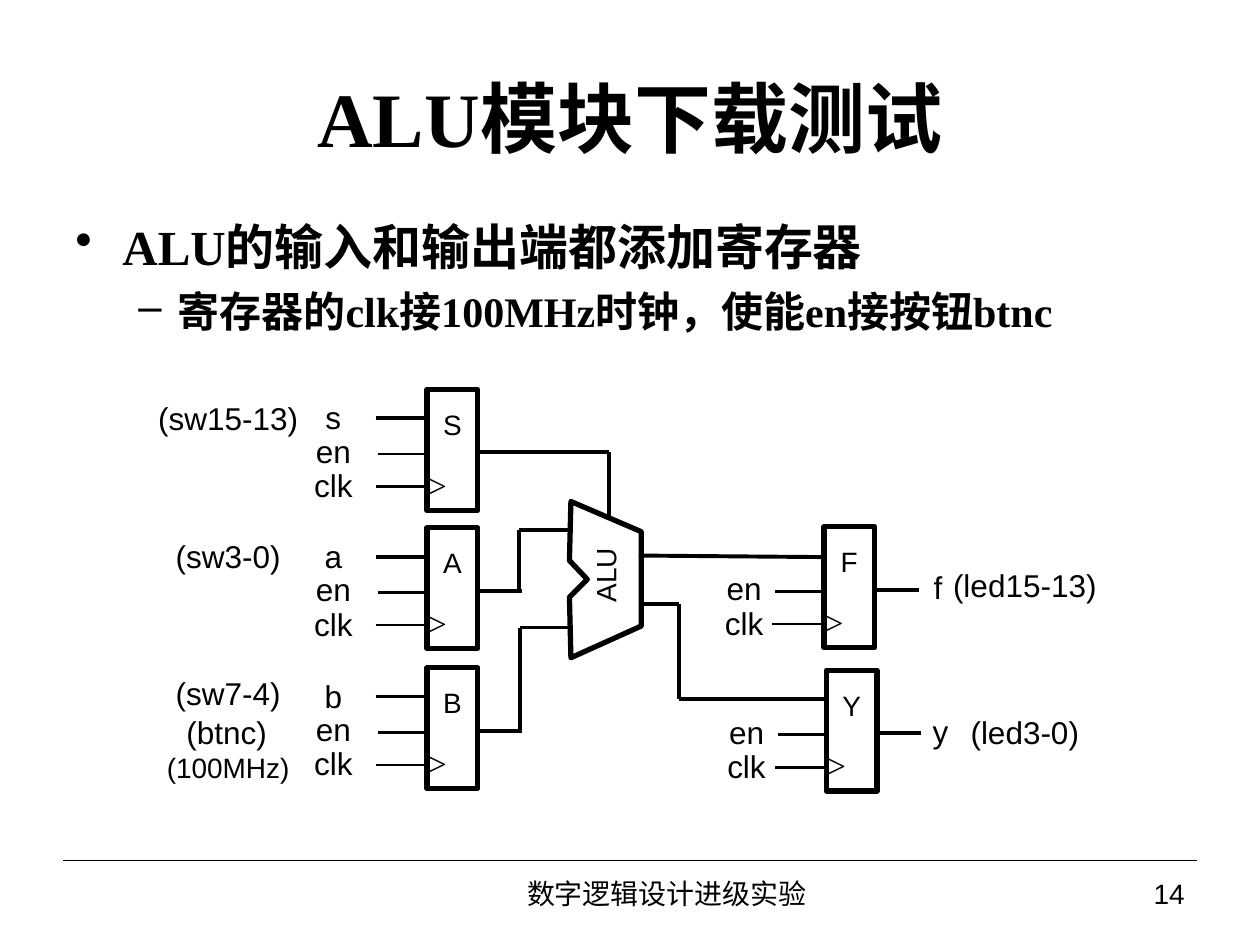
from pptx import Presentation
from pptx.dml.color import RGBColor
from pptx.enum.shapes import MSO_CONNECTOR, MSO_SHAPE
from pptx.enum.text import MSO_ANCHOR, PP_ALIGN
from pptx.oxml.ns import qn
from pptx.util import Cm, Pt
from lxml import etree

BLACK = RGBColor(0x00, 0x00, 0x00)
SANS, SERIF = "Arial", "Times New Roman"
LEFT, CENTER, RIGHT = PP_ALIGN.LEFT, PP_ALIGN.CENTER, PP_ALIGN.RIGHT
TOP, MIDDLE = MSO_ANCHOR.TOP, MSO_ANCHOR.MIDDLE
RECTANGLE, STRAIGHT = MSO_SHAPE.RECTANGLE, MSO_CONNECTOR.STRAIGHT

REGISTER_WIDTH, REGISTER_HEIGHT = 1.02, 2.44
THIN, WIRE, OUTLINE = 1.5, 2.25, 3


class CircuitSlide:
    """Draws on one slide; all lengths are centimetres."""

    def __init__(self, slide):
        self.slide = slide

    def outline(self, shape):
        shape.shadow.inherit = False
        shape.fill.background()
        shape.line.color.rgb = BLACK
        shape.line.width = Pt(OUTLINE)

    def line(self, start, end, weight=WIRE):
        connector = self.slide.shapes.add_connector(
            STRAIGHT, *[Cm(value) for value in (*start, *end)])
        connector.line.color.rgb = BLACK
        connector.line.width = Pt(weight)
        properties = connector._element.spPr
        etree.SubElement(properties, qn("a:effectLst"))

    def wire(self, *points):
        for start, end in zip(points, points[1:]):
            self.line(start, end)

    def polygon(self, points):
        corners = [(Cm(x), Cm(y)) for x, y in points]
        builder = self.slide.shapes.build_freeform(*corners[0])
        builder.add_line_segments(corners[1:], close=True)
        self.outline(builder.convert_to_shape())

    def run(self, paragraph, text, size, font, bold=False):
        run = paragraph.add_run()
        run.text = text
        run.font.size = Pt(size)
        run.font.name = font
        run.font.bold = bold
        run.font.color.rgb = BLACK

    def frame(self, left, top, width, height, anchor=MIDDLE):
        box = self.slide.shapes.add_textbox(Cm(left), Cm(top), Cm(width), Cm(height))
        box.text_frame.word_wrap = True
        box.text_frame.vertical_anchor = anchor
        return box.text_frame

    def text(self, bounds, text, size, font, align, bold=False):
        paragraph = self.frame(*bounds).paragraphs[0]
        paragraph.alignment = align
        self.run(paragraph, text, size, font, bold)

    def label(self, x, y, text, size=18, font=SANS, width=1.04, height=0.86, vertical=None):
        """Unwrapped text centred on a point."""
        frame = self.frame(x - width / 2, y - height / 2, width, height)
        frame.word_wrap = False
        frame.margin_left = frame.margin_right = 0
        frame.margin_top = frame.margin_bottom = 0
        if vertical:
            frame._txBody.bodyPr.set("vert", vertical)
        frame.paragraphs[0].alignment = CENTER
        self.run(frame.paragraphs[0], text, size, font)

    def bullets(self, bounds, items):
        frame = self.frame(*bounds, anchor=TOP)
        for index, (text, size, level, mark, margin, hanging) in enumerate(items):
            paragraph = frame.add_paragraph() if index else frame.paragraphs[0]
            paragraph.level = level
            paragraph.alignment = LEFT
            paragraph.space_after = Pt(6)
            properties = paragraph._p.get_or_add_pPr()
            properties.set("marL", str(Cm(margin)))
            properties.set("indent", str(-Cm(hanging)))
            etree.SubElement(properties, qn("a:buChar")).set("char", mark)
            self.run(paragraph, text, size, SERIF, bold=True)

    def register(self, left, top, name, label_gap, data=None, output=None):
        box = self.slide.shapes.add_shape(
            RECTANGLE, Cm(left), Cm(top), Cm(REGISTER_WIDTH), Cm(REGISTER_HEIGHT))
        self.outline(box)
        self.label(left + 0.51, top + 0.7, name, 16, width=0.4, height=0.69)
        self.label(left + 0.2, top + 1.91, ">", 20, SERIF, width=0.41)
        # Input pins: label, label height, line height, line length, weight
        pins = [("en", 1.24, 1.3, 0.98, THIN), ("clk", 1.93, 1.96, 1.04, THIN)]
        if data:
            pins.append((data, 0.56, 0.58, 1.04, WIRE))
        for pin, label_y, line_y, length, weight in pins:
            self.label(left - label_gap, top + label_y, pin)
            self.line((left - length, top + line_y), (left, top + line_y), weight)
        # Output pin
        right, output_y = left + REGISTER_WIDTH, top + 1.27
        self.line((right, output_y), (right + 0.89, output_y))
        if output:
            self.label(left + 2.3, top + 1.22, output)


presentation = Presentation()
presentation.slide_width = Cm(25.4)
presentation.slide_height = Cm(19.05)
page = CircuitSlide(presentation.slides.add_slide(presentation.slide_layouts[6]))

# Title and bullets
page.text((1.27, 0.76, 22.86, 3.18), "ALU模块下载测试", 44, SERIF, CENTER, bold=True)
page.bullets((1.27, 4.24, 22.86, 2.92), [
    ("ALU的输入和输出端都添加寄存器", 28, 0, "•", 0.95, 0.95),
    ("寄存器的clk接100MHz时钟，使能en接按钮btnc", 24, 1, "–", 2.06, 0.79),
])

# Input and output registers
for top, name in ((7.85, "S"), (10.64, "A"), (13.46, "B")):
    page.register(8.61, top, name, 1.89, data=name.lower())
for left, top, name in ((16.61, 10.62, "F"), (16.66, 13.51, "Y")):
    page.register(left, top, name, 1.61, output=name.lower())

# ALU
page.polygon([(11.51, 10.11), (12.93, 10.72), (12.93, 12.62), (11.51, 13.26),
              (11.48, 12.04), (11.84, 11.68), (11.48, 11.3)])
page.label(12.2, 11.6, "ALU", 16, width=0.69, height=1.1, vertical="vert270")

# Wires between the registers and the ALU
page.wire((10.01, 9.12), (12.27, 9.12), (12.27, 10.44))
page.wire((10.46, 11.91), (10.46, 10.69), (11.48, 10.69))
page.wire((10.49, 14.73), (10.49, 12.65), (11.48, 12.65))
page.wire((12.88, 11.2), (16.56, 11.23))
page.wire((12.88, 12.17), (13.69, 12.17), (13.69, 14.1), (16.66, 14.1))

# Board pins
for x, y, pin, size, width in (
    (4.6, 8.43, "(sw15-13)", 18, 2.84),
    (4.6, 11.2, "(sw3-0)", 18, 2.13),
    (4.6, 13.97, "(sw7-4)", 18, 2.13),
    (4.57, 14.76, "(btnc)", 18, 1.63),
    (4.6, 15.46, "(100MHz)", 16, 2.51),
    (20.66, 11.79, "(led15-13)", 18, 2.92),
    (20.66, 14.76, "(led3-0)", 18, 2.21),
):
    page.label(x, y, pin, size, width=width, height=0.76)

# Footer
page.line((1.27, 17.35), (24.13, 17.35), 0.75)
page.text((7.19, 17.35, 12.5, 1.32), "数字逻辑设计进级实验", 16, SANS, CENTER)
page.text((19.69, 17.35, 4.44, 1.32), "14", 16, SANS, RIGHT)

presentation.save("out.pptx")
